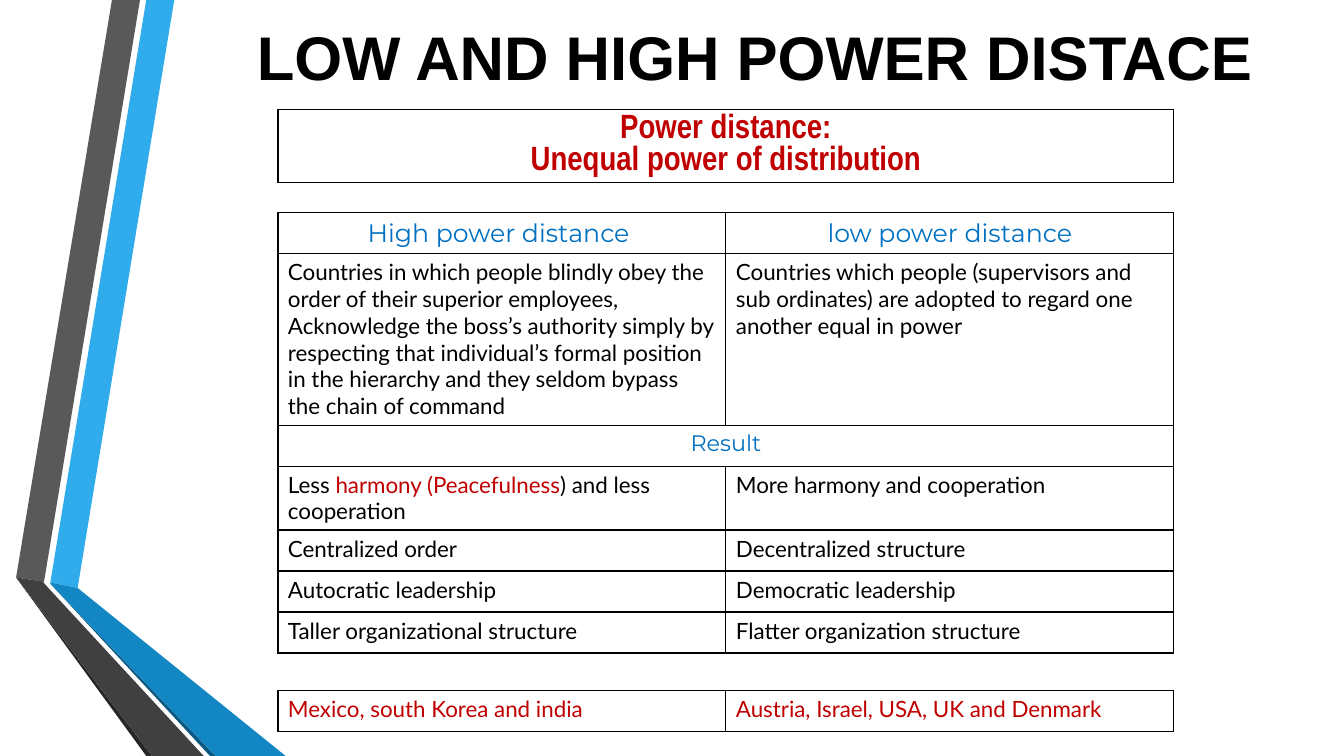
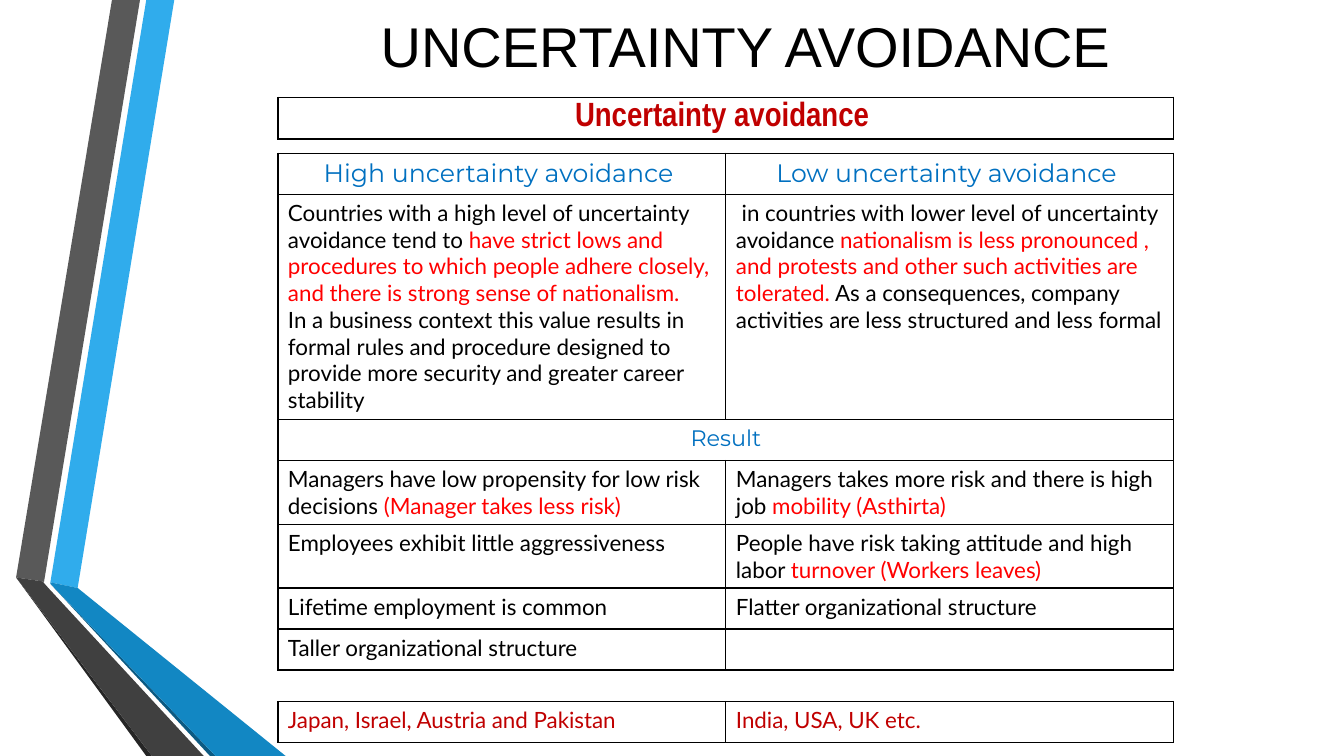
import pptx
import pptx.util
import pptx.enum.text
import pptx.dml.color
import lxml.etree

Pt = pptx.util.Pt
ALIGN = pptx.enum.text.PP_ALIGN
NS = "http://schemas.openxmlformats.org/drawingml/2006/main"

HUES = {
    "ink": "000000", "head": "0070C0", "deep": "C00000", "red": "FF0000",
    "sky": "30ACEC", "gray": "595959", "coal": "262626", "navy": "0C5A82",
    "blue": "1287C3", "slate": "404040",
}

RIBBONS = [
    ("sky", [(36, 416), (55.5, 420), (124.5, 0), (104.5, 0)]),
    ("gray", [(100, 0), (80, 0), (11.5, 412.5), (31.5, 415.5)]),
    ("coal", [(11.5, 412.5), (104.5, 540), (108.5, 540)]),
    ("navy", [(36, 417), (150, 540), (154, 540)]),
    ("blue", [(36, 417), (154, 540), (204, 540), (55.5, 420), (36, 416)]),
    ("slate", [(145.5, 540), (34.5, 420), (31, 416), (31.5, 415.5),
               (11.5, 412.5), (108.5, 540)]),
]

STYLES = {
    "sub": ("Arial Narrow", 24, "deep", True, ALIGN.CENTER),
    "head": ("Montserrat", 18, "head", False, ALIGN.CENTER),
    "mid": ("Montserrat", 16, "head", False, ALIGN.CENTER),
    "body": ("Lato", 16, "ink", False, ALIGN.LEFT),
    "foot": ("Lato", 16, "deep", False, ALIGN.LEFT),
}

LEFT, WIDE, ROW = 198.5, 640, 29.3
LINE, PAD = 19.2, 7.2

POWER = {
    "title": ("LOW AND HIGH POWER DISTACE", 44, True, (124.5, 2, 830, 76)),
    "tops": (78, 152, 493),
    "mark": "deep",
    "sub": (52, ["Power distance:", "Unequal power of distribution"]),
    "heads": ["High power distance ", "low power distance"],
    "about": (6, [
        ["Countries in which people blindly obey the order of their superior employees,",
         "Acknowledge the boss’s authority simply by respecting that individual’s "
         "formal position in the hierarchy and they seldom bypass the chain of command"],
        "Countries which people (supervisors and sub ordinates) are adopted to "
        "regard one another equal in power"]),
    "results": [
        (2, [[("Less ", "harmony (Peacefulness", ") and less cooperation")],
             "More harmony and cooperation"]),
        (1, ["Centralized order", "Decentralized structure"]),
        (1, ["Autocratic leadership", "Democratic leadership"]),
        (1, ["Taller organizational structure", "Flatter organization structure"]),
    ],
    "foot": ["Mexico, south Korea and india", "Austria, Israel, USA, UK and Denmark"],
}

RISK = {
    "title": ("UNCERTAINTY AVOIDANCE", 40, False, (138, 0, 789, 65)),
    "tops": (69.5, 109.5, 501),
    "mark": "red",
    "sub": (ROW, ["Uncertainty avoidance "]),
    "heads": ["High uncertainty avoidance ", "Low uncertainty avoidance "],
    "about": (8, [
        [("Countries with a high level of uncertainty avoidance tend to ",
          "have strict lows and procedures to which people adhere closely, and "
          "there is strong sense of nationalism."),
         "In a business context this value results in formal rules and procedure "
         "designed to provide more security and greater career stability"],
        [(" in countries with lower level of uncertainty avoidance ",
          "nationalism is less pronounced , and protests and other such "
          "activities are tolerated.",
          " As a consequences, company activities are less structured and less formal")]]),
    "results": [
        (2, [[("Managers have low propensity for low risk decisions ",
               "(Manager takes less risk)")],
             [("Managers takes more risk and there is high job ",
               "mobility (Asthirta)")]]),
        (2, ["Employees exhibit little aggressiveness",
             [("People have risk taking attitude and high labor ",
               "turnover (Workers leaves)")]]),
        (1, ["Lifetime employment is common", "Flatter organizational structure"]),
        (1, ["Taller organizational structure", ""]),
    ],
    "foot": ["Japan, Israel, Austria and Pakistan", "India, USA, UK etc."],
}


def hue(name):
    """Return the named colour."""
    return pptx.dml.color.RGBColor.from_string(HUES[name])


def place(shape, box):
    """Move a shape to a box given in points."""
    shape.left, shape.top, shape.width, shape.height = map(Pt, box)


def ribbons(slide, layout):
    """Draw the folded ribbons and keep them on the shared layout."""
    for depth, (name, dots) in enumerate(RIBBONS):
        dots = [(Pt(x), Pt(y)) for x, y in dots]
        pen = slide.shapes.build_freeform(*dots[0])
        pen.add_line_segments(dots[1:], close=True)
        shape = pen.convert_to_shape()
        shape.fill.solid()
        shape.fill.fore_color.rgb = hue(name)
        shape.line.fill.background()
        shape.shadow.inherit = False
        layout.shapes.element.insert(2 + depth, shape.element)


def title(slide, text, size, bold, box):
    """Fill the title placeholder."""
    shape = slide.shapes.title
    place(shape, box)
    frame = shape.text_frame
    frame.text = text
    frame.word_wrap = True
    frame.vertical_anchor = pptx.enum.text.MSO_ANCHOR.MIDDLE
    para = frame.paragraphs[0]
    para.alignment = ALIGN.CENTER
    font = para.font
    font.name, font.size, font.bold = "Arial", Pt(size), bold
    font.color.rgb = hue("ink")


def edge(cell):
    """Give a cell thin black borders and no fill."""
    props = cell._tc.get_or_add_tcPr()
    for side in ("lnL", "lnR", "lnT", "lnB"):
        line = lxml.etree.SubElement(props, f"{{{NS}}}{side}", w=str(Pt(1)))
        fill = lxml.etree.SubElement(line, f"{{{NS}}}solidFill")
        lxml.etree.SubElement(fill, f"{{{NS}}}srgbClr", val=HUES["ink"])
    cell.fill.background()


def write(cell, text, style, mark):
    """Write paragraphs; every second part of a tuple takes the mark colour."""
    name, size, tint, bold, align = STYLES[style]
    paras = [text] if isinstance(text, str) else text
    for count, parts in enumerate(paras):
        frame = cell.text_frame
        para = frame.add_paragraph() if count else frame.paragraphs[0]
        para.alignment = align
        font = para.font
        font.name, font.size, font.bold = name, Pt(size), bold
        font.color.rgb = hue(tint)
        for spot, part in enumerate((parts,) if isinstance(parts, str) else parts):
            if part:
                run = para.add_run()
                run.text = part
                if spot % 2:
                    run.font.color.rgb = hue(mark)


def grid(slide, top, cols, rows, mark):
    """Add a bordered table of (height, style, cells) rows."""
    tall = sum(row[0] for row in rows)
    frame = slide.shapes.add_table(
        len(rows), cols, Pt(LEFT), Pt(top), Pt(WIDE), Pt(tall))
    table = frame.table
    table.first_row = table.horz_banding = False
    for r, (high, style, texts) in enumerate(rows):
        table.rows[r].height = Pt(high)
        for c in range(cols):
            edge(table.cell(r, c))
        if len(texts) < cols:
            table.cell(r, 0).merge(table.cell(r, cols - 1))
        for c, text in enumerate(texts):
            write(table.cell(r, c), text, style, mark)


def page(slide, data):
    """Build one comparison slide."""
    title(slide, *data["title"])
    first, main_top, last = data["tops"]
    mark = data["mark"]

    def body(count, texts):
        """Size a body row by its count of text lines."""
        return max(ROW, PAD + LINE * count), "body", texts

    rows = [(ROW, "head", data["heads"]), body(*data["about"]),
            (ROW, "mid", ["Result"])]
    rows += [body(*row) for row in data["results"]]
    high, lines = data["sub"]
    grid(slide, main_top, 2, rows, mark)
    grid(slide, first, 1, [(high, "sub", [lines])], mark)
    grid(slide, last, 2, [(ROW, "foot", data["foot"])], mark)


def main():
    """Build and save the deck."""
    deck = pptx.Presentation()
    deck.slide_width, deck.slide_height = Pt(960), Pt(540)
    layout = deck.slide_layouts[5]
    slides = [deck.slides.add_slide(layout) for _ in range(2)]
    ribbons(slides[0], layout)
    for slide, data in zip(slides, (POWER, RISK)):
        page(slide, data)
    deck.save("out.pptx")


if __name__ == "__main__":
    main()
